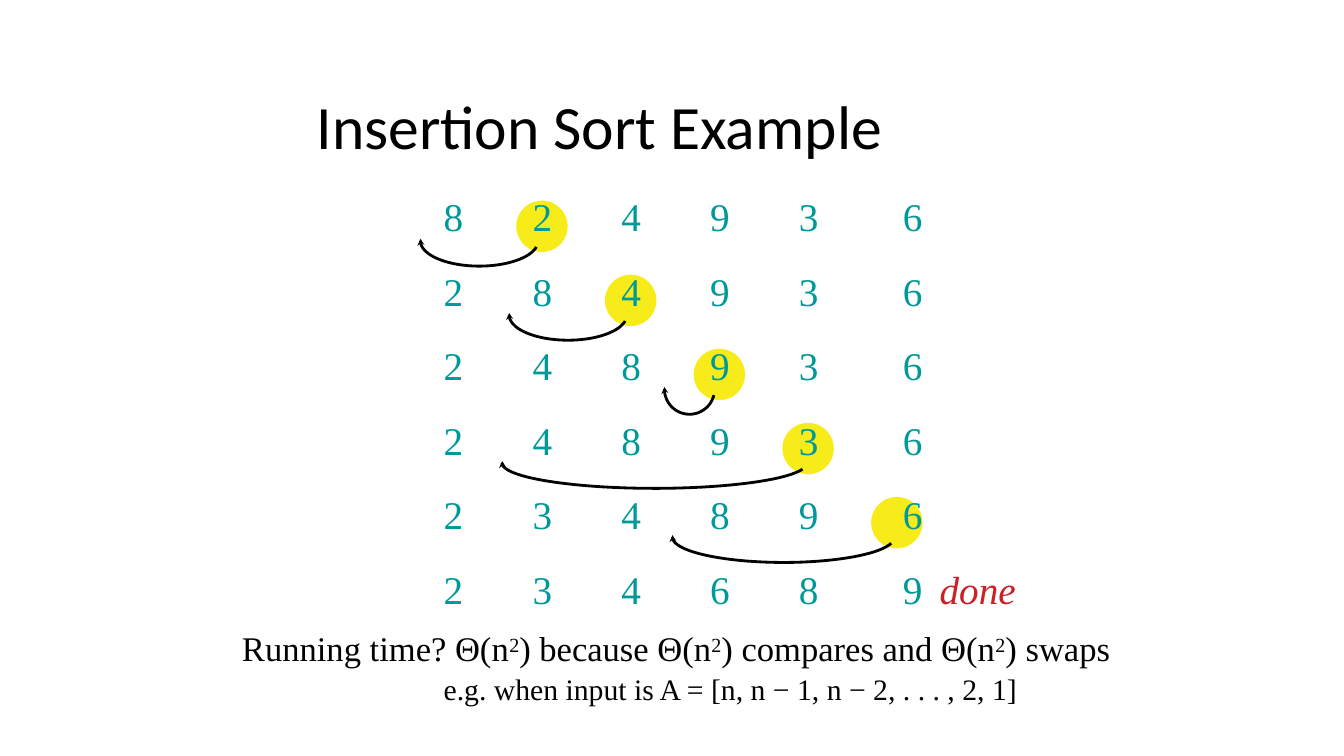
from dataclasses import dataclass
from math import asin, cos, pi, sin

from pptx import Presentation
from pptx.dml.color import RGBColor
from pptx.enum.shapes import MSO_SHAPE
from pptx.enum.text import MSO_ANCHOR, PP_ALIGN
from pptx.util import Inches, Pt

OVAL = MSO_SHAPE.OVAL
LEFT, CENTER, RIGHT = PP_ALIGN.LEFT, PP_ALIGN.CENTER, PP_ALIGN.RIGHT
TOP, MIDDLE = MSO_ANCHOR.TOP, MSO_ANCHOR.MIDDLE
NO_GRID_STYLE = "{2D5ABB26-0587-4C30-8999-92F81FD0307C}"

TITLE = "Insertion Sort Example"
PASSES = ["824936", "284936", "248936", "248936", "234896", "234689"]
DONE = "done"
# Horizontal reach, in inches, of the arrow under each inserted number
ARROW_REACHES = [1.15, 1.15, 0.49, 2.98, 2.17]
# "^" stands before each superscript digit
RUNNING_TIME = "Running time? Θ(n^2) because Θ(n^2) compares and Θ(n^2) swaps"
WORST_CASE = "e.g. when input is A = [n, n − 1, n − 2, . . . , 2, 1]"

COLUMN_WIDTHS = [0.57, 0.88, 0.88, 0.88, 0.88, 0.69, 0.94]
ROW_HEIGHTS = [0.63, 0.74, 0.74, 0.74, 0.73, 0.63]
COLUMN_STEP, ROW_STEP = 0.88, 0.735


@dataclass(frozen=True)
class Theme:
    """Colours, fonts and type sizes of the slide."""
    ink: RGBColor = RGBColor(0x01, 0x02, 0x02)
    title: RGBColor = RGBColor(0, 0, 0)
    number: RGBColor = RGBColor(0x00, 0x99, 0x99)
    done: RGBColor = RGBColor(0xCB, 0x20, 0x26)
    highlight: RGBColor = RGBColor(0xF7, 0xEC, 0x1A)
    heading_font: str = "Calibri"
    body_font: str = "Times New Roman"
    title_size: float = 44
    number_size: float = 28
    running_size: float = 24.7
    worst_size: float = 21.2


THEME = Theme()


def set_font(font, name, size, color):
    """Give a font its family, size and colour."""
    font.name, font.size = name, Pt(size)
    font.color.rgb = color


def set_insets(area, top):
    """Leave only a top inset in a cell or text frame."""
    area.margin_left = area.margin_right = area.margin_bottom = 0
    area.margin_top = Inches(top)


def indent(paragraph, inches):
    """Set the left margin of a paragraph."""
    properties = paragraph._p.get_or_add_pPr()
    properties.set("marL", str(Inches(inches)))
    properties.set("indent", "0")


def add_title(slide):
    """Place and format the title."""
    title = slide.shapes.title
    title.left, title.top = Inches(3.14), Inches(0.94)
    title.width, title.height = Inches(5.85), Inches(0.68)
    frame = title.text_frame
    frame.text = TITLE
    frame.vertical_anchor = MIDDLE
    set_insets(frame, 0.01)
    heading = frame.paragraphs[0]
    heading.alignment, heading.line_spacing = LEFT, 0.9
    set_font(heading.font, THEME.heading_font, THEME.title_size, THEME.title)


def add_outline(slide, points, closed):
    """Draw a freeform through points given in inches."""
    corners = [(Inches(x), Inches(y)) for x, y in points]
    builder = slide.shapes.build_freeform(*corners[0], scale=1.0)
    builder.add_line_segments(corners[1:], close=closed)
    outline = builder.convert_to_shape()
    outline.shadow.inherit = False
    return outline


def swoop(start_x, end_x, end_y, depth=0.25, drop=0.06, steps=40):
    """Return points on the lower half of an ellipse, right to left."""
    first = asin(drop / depth)
    radius = (start_x - end_x) / (1 + cos(first))
    angles = [first + (pi - first) * i / steps for i in range(steps + 1)]
    return [(end_x + radius * (1 + cos(a)), end_y + depth * sin(a))
            for a in angles]


def add_insertion(slide, index, reach):
    """Highlight the inserted number and point to its new place."""
    left, top = 5.12 + COLUMN_STEP * index, 1.99 + ROW_STEP * index
    spot = slide.shapes.add_shape(
        OVAL, Inches(left), Inches(top), Inches(0.51), Inches(0.51))
    spot.shadow.inherit = False
    spot.fill.solid()
    spot.fill.fore_color.rgb = THEME.highlight
    spot.line.fill.background()

    start_x, end_y = left + 0.2, top + 0.4
    end_x = start_x - reach
    arc = add_outline(slide, swoop(start_x, end_x, end_y), closed=False)
    arc.fill.background()
    arc.line.color.rgb, arc.line.width = THEME.ink, Pt(2)

    barb = [(0.04, 0.04), (0, -0.02), (-0.03, 0.05), (0.01, 0.02)]
    tip = add_outline(slide, [(end_x + x, end_y + y) for x, y in barb], closed=True)
    tip.fill.solid()
    tip.fill.fore_color.rgb = THEME.ink
    tip.line.fill.background()
    slide.shapes.add_group_shape([spot, arc, tip])


def add_passes(slide):
    """Add the table with one sorting pass per row."""
    frame = slide.shapes.add_table(
        len(PASSES), len(COLUMN_WIDTHS), Inches(4.37), Inches(1.95),
        Inches(sum(COLUMN_WIDTHS)), Inches(sum(ROW_HEIGHTS)))
    table = frame.table
    table.first_row = table.horz_banding = False
    table._tbl.tblPr[0].text = NO_GRID_STYLE
    for column, width in zip(table.columns, COLUMN_WIDTHS):
        column.width = Inches(width)
    for row, height in zip(table.rows, ROW_HEIGHTS):
        row.height = Inches(height)

    alignments = [LEFT] + [CENTER] * 4 + [RIGHT, LEFT]
    last = len(PASSES) - 1
    for r, numbers in enumerate(PASSES):
        inset, before = {0: (0, 0.2), last: (0.12, 9.4)}.get(r, (0.11, 9.2))
        texts = list(numbers) + [DONE if r == last else ""]
        for c, text in enumerate(texts):
            cell = table.cell(r, c)
            cell.fill.background()
            cell.vertical_anchor = TOP
            set_insets(cell, inset)
            if not text:
                continue
            cell.text = text
            entry = cell.text_frame.paragraphs[0]
            entry.alignment, entry.space_before = alignments[c], Pt(before)
            is_done = text == DONE
            set_font(entry.font, THEME.body_font, THEME.number_size,
                     THEME.done if is_done else THEME.number)
            if is_done:
                entry.font.italic = True
            if alignments[c] == LEFT:
                indent(entry, 0.17 if is_done else 0.03)


def add_running_time(slide):
    """Add the closing lines on running time."""
    box = slide.shapes.add_textbox(
        Inches(2.36), Inches(6.18), Inches(8.69), Inches(0.84))
    frame = box.text_frame
    frame.word_wrap = True
    set_insets(frame, 0.04)
    running, worst = frame.paragraphs[0], frame.add_paragraph()
    first, *rest = RUNNING_TIME.split("^")
    running.add_run().text = first
    for part in rest:
        power = running.add_run()
        power.text = part[0]
        power.font._element.set("baseline", "26000")
        running.add_run().text = part[1:]
    worst.text = WORST_CASE
    for line, size, margin, before in [
            (running, THEME.running_size, 0.04, 3),
            (worst, THEME.worst_size, 2.04, 1.8)]:
        set_font(line.font, THEME.body_font, size, THEME.ink)
        indent(line, margin)
        line.space_before = Pt(before)


deck = Presentation()
deck.slide_width, deck.slide_height = Inches(13.33), Inches(7.5)
sort_slide = deck.slides.add_slide(deck.slide_layouts[5])
add_title(sort_slide)
for position, arrow_reach in enumerate(ARROW_REACHES):
    add_insertion(sort_slide, position, arrow_reach)
add_passes(sort_slide)
add_running_time(sort_slide)
deck.save("out.pptx")
